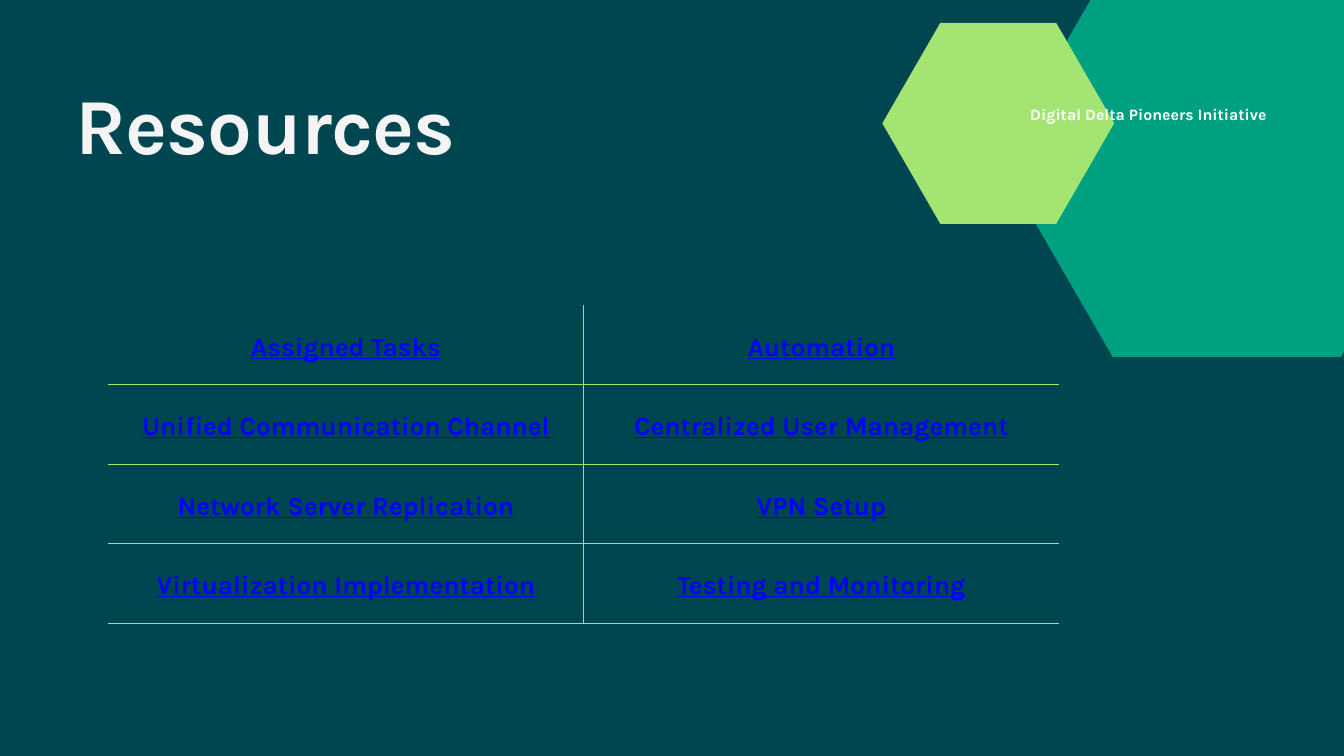
from lxml import etree
from pptx import Presentation
from pptx.dml.color import RGBColor
from pptx.enum.shapes import MSO_SHAPE
from pptx.enum.text import MSO_ANCHOR, PP_ALIGN
from pptx.oxml.ns import qn
from pptx.util import Inches, Pt

HEXAGON = MSO_SHAPE.HEXAGON
MIDDLE = MSO_ANCHOR.MIDDLE
CENTER = PP_ALIGN.CENTER

DARK_TEAL = RGBColor(0x00, 0x46, 0x51)
GREEN = RGBColor(0x00, 0xA1, 0x81)
LIME = RGBColor(0xA4, 0xE4, 0x73)
OFF_WHITE = RGBColor(0xF4, 0xF4, 0xF4)
WHITE = RGBColor(0xFF, 0xFF, 0xFF)
LINK_BLUE = RGBColor(0x00, 0x00, 0xFF)

RESOURCES = [
    ("Assigned Tasks", "Automation"),
    ("Unified Communication Channel", "Centralized User Management"),
    ("Network Server Replication", "VPN Setup"),
    ("Virtualization Implementation", "Testing and Monitoring"),
]


def format_paragraph(paragraph, size, color, line_spacing):
    paragraph.line_spacing = Pt(line_spacing)
    font = paragraph.runs[0].font
    font.name = "Karla"
    font.size = Pt(size)
    font.bold = True
    font.color.rgb = color
    return font


def add_border(cell, side, visible):
    properties = cell._tc.get_or_add_tcPr()
    line = etree.SubElement(properties, qn(f"a:ln{side}"), w=str(Pt(0.75) if visible else 0))
    if visible:
        fill = etree.SubElement(line, qn("a:solidFill"))
        etree.SubElement(fill, qn("a:srgbClr"), val=str(LIME))
    else:
        etree.SubElement(line, qn("a:noFill"))


presentation = Presentation()
presentation.slide_width = Inches(20)
presentation.slide_height = Inches(11.25)
slide = presentation.slides.add_slide(presentation.slide_layouts[6])
slide.background.fill.solid()
slide.background.fill.fore_color.rgb = DARK_TEAL

for left, top, width, height, color in [
    (14.86, -0.57, 6.79, 5.88, GREEN),
    (13.13, 0.34, 3.45, 2.99, LIME),
]:
    hexagon = slide.shapes.add_shape(HEXAGON, Inches(left), Inches(top), Inches(width), Inches(height))
    hexagon.adjustments[0] = width / 4 / height
    hexagon.shadow.inherit = False
    hexagon.fill.solid()
    hexagon.fill.fore_color.rgb = color
    hexagon.line.fill.background()

table = slide.shapes.add_table(
    len(RESOURCES), 2, Inches(1.61), Inches(4.54), Inches(14.15), Inches(4.73)
).table
table.first_row = False
table.horz_banding = False
for row_index, names in enumerate(RESOURCES):
    for column_index, name in enumerate(names):
        cell = table.cell(row_index, column_index)
        add_border(cell, "L", column_index == 1)
        add_border(cell, "R", column_index == 0)
        add_border(cell, "T", row_index > 0)
        add_border(cell, "B", True)
        cell.fill.solid()
        cell.fill.fore_color.rgb = DARK_TEAL
        cell.vertical_anchor = MIDDLE
        cell.margin_left = cell.margin_right = Inches(0.21)
        cell.margin_top = cell.margin_bottom = Inches(0.21)
        paragraph = cell.text_frame.paragraphs[0]
        paragraph.text = name
        paragraph.alignment = CENTER
        format_paragraph(paragraph, 28, LINK_BLUE, 39.2).underline = True

for text, left, top, width, height, size, color, line_spacing, tracking in [
    ("Resources", 1.12, 1.12, 7.56, 1.41, 85, OFF_WHITE, 102, -80),
    ("Digital Delta Pioneers Initiative", 15.33, 1.51, 3.55, 0.31, 17, WHITE, 23.8, 0),
]:
    text_box = slide.shapes.add_textbox(Inches(left), Inches(top), Inches(width), Inches(height))
    text_frame = text_box.text_frame
    text_frame.word_wrap = True
    text_frame.margin_left = text_frame.margin_right = 0
    text_frame.margin_top = text_frame.margin_bottom = 0
    text_frame.text = text
    paragraph = text_frame.paragraphs[0]
    format_paragraph(paragraph, size, color, line_spacing)
    paragraph.runs[0]._r.get_or_add_rPr().set("spc", str(tracking))

presentation.save("out.pptx")
